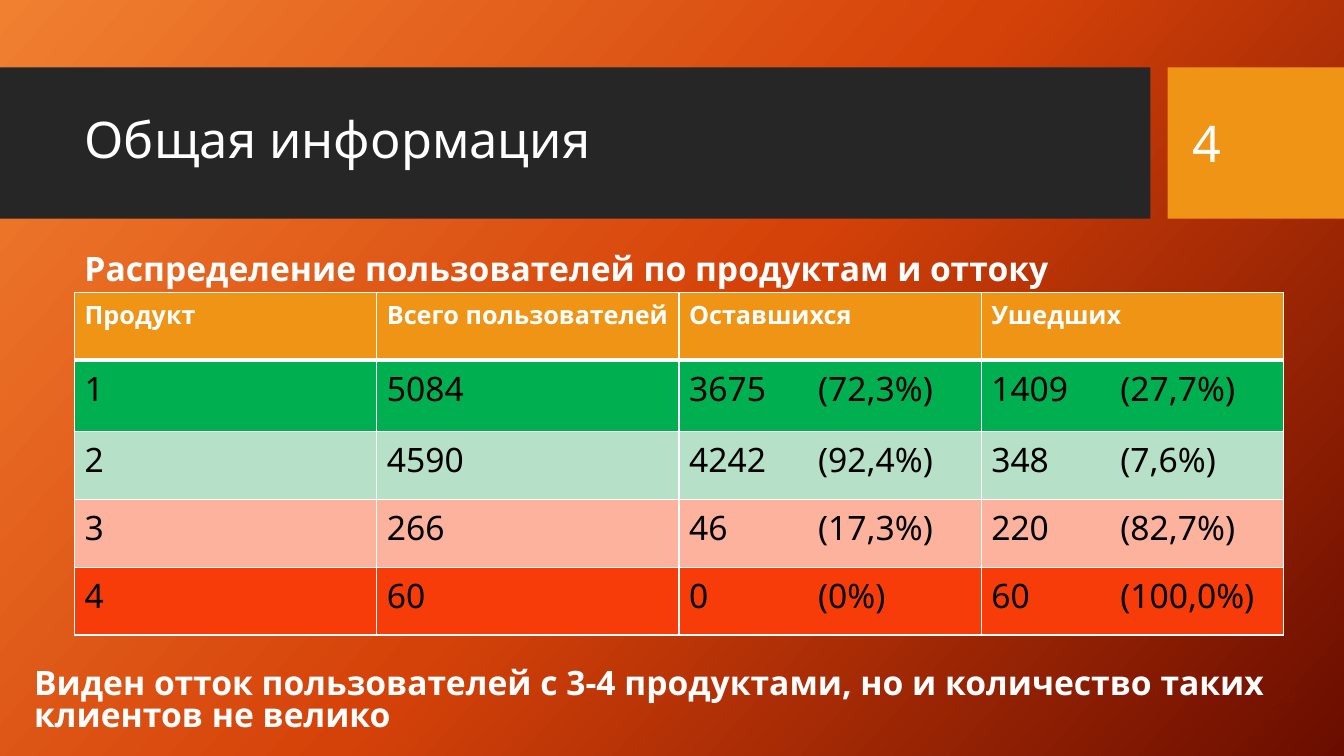
from dataclasses import dataclass

from lxml.etree import SubElement
from pptx import Presentation
from pptx.dml.color import RGBColor
from pptx.enum.shapes import MSO_SHAPE as Kind
from pptx.enum.text import MSO_ANCHOR as Anchor, MSO_AUTO_SIZE as Auto, PP_ALIGN as Align
from pptx.oxml.ns import qn
from pptx.slide import Slide
from pptx.table import _Cell as Cell
from pptx.text.text import TextFrame as Frame, _Paragraph as Para
from pptx.util import Inches, Pt

WIDE, HIGH = Inches(13.33), Inches(7.5)
FONT = "Noto Sans"
WHITE, BLACK, DARK, GOLD = "FFFFFF", "000000", "262626", "F09415"
GLOW = [(0, "F18031"), (50, "D54209"), (100, "6A0D00")]
TAB = Inches(1.28)


def across(share: float) -> int:
    """Turn a percentage of the slide width into a length."""
    return round(WIDE * share / 100)


def down(share: float) -> int:
    """Turn a percentage of the slide height into a length."""
    return round(HIGH * share / 100)


@dataclass
class Box:
    """A place on the slide, in percent of its width and height."""
    x: float
    y: float
    w: float
    h: float

    def place(self) -> tuple[int, int, int, int]:
        """Give left, top, width and height as lengths."""
        return across(self.x), down(self.y), across(self.w), down(self.h)


@dataclass
class Style:
    """The look of a piece of text."""
    size: int
    color: str = WHITE
    bold: bool = False


@dataclass
class Bar:
    """A plain filled rectangle."""
    box: Box
    fill: str


@dataclass
class Label:
    """A text box with its look and line spacing."""
    box: Box
    text: str
    style: Style
    anchor: Anchor
    space: float = 1.0
    before: int = 0


@dataclass
class Row:
    """A table row with its fill, look and height in percent."""
    cells: list[str]
    fill: str
    style: Style
    high: float = 8.97


BIG, HEAD, MAIN, BODY = Style(36), Style(18, bold=True), Style(24, bold=True), Style(24, BLACK)
TITLE = Label(Box(5.55, 10.93, 78.84, 15.73), "Общая информация", BIG, Anchor.MIDDLE, 0.9)
BARS = [Bar(Box(0, 8.93, 85.6, 20), DARK), Bar(Box(86.87, 8.93, 13.13, 20), GOLD)]
LABELS = [
    Label(Box(5.55, 28.67, 88.9, 10.13), "Распределение пользователей по продуктам и оттоку",
          MAIN, Anchor.BOTTOM, 0.9, 10),
    Label(Box(88, 10.93, 9.45, 15.87), "4", BIG, Anchor.MIDDLE),
    Label(Box(1.8, 87.6, 98.2, 10.13),
          "Виден отток пользователей с 3-4 продуктами, но и количество таких клиентов не велико",
          MAIN, Anchor.BOTTOM, 0.8, 10),
]
GRID = Box(5.55, 38.67, 89.95, 45.35)
ROWS = [
    Row(["Продукт", "Всего пользователей", "Оставшихся", "Ушедших"], GOLD, HEAD),
    Row(["1", "5084", "3675\t(72,3%)", "1409\t(27,7%)"], "00B050", BODY, 9.47),
    Row(["2", "4590", "4242\t(92,4%)", "348\t(7,6%)"], "B6E0C7", BODY),
    Row(["3", "266", "46\t(17,3%)", "220\t(82,7%)"], "FCB29D", BODY),
    Row(["4", "60", "0\t(0%)", "60\t(100,0%)"], "F73C09", BODY),
]


def paint(part, color: str) -> None:
    """Give a fill one solid colour."""
    part.solid()
    part.fore_color.rgb = RGBColor.from_string(color)


def write(para: Para, text: str, style: Style) -> None:
    """Set the text of a paragraph and format its runs."""
    para.text = text
    para.alignment = Align.LEFT
    for run in para.runs:
        run.font.name, run.font.size, run.font.bold = FONT, Pt(style.size), style.bold
        paint(run.font.fill, style.color)


def set_text(frame: Frame, label: Label) -> None:
    """Fill a text frame from a label."""
    frame.word_wrap = True
    frame.auto_size = Auto.NONE
    frame.vertical_anchor = label.anchor
    para = frame.paragraphs[0]
    write(para, label.text, label.style)
    para.line_spacing = label.space
    para.space_before = Pt(label.before)


def draw_back(slide: Slide) -> None:
    """Lay the three-colour gradient behind the slide."""
    fill = slide.background.fill
    fill.gradient()
    fill.gradient_angle = 318
    stops = slide.element.find(".//" + qn("a:gsLst"))
    for old in list(stops):
        stops.remove(old)
    for share, color in GLOW:
        stop = SubElement(stops, qn("a:gs"), pos=str(share * 1000))
        SubElement(stop, qn("a:srgbClr"), val=color)


def draw_bar(slide: Slide, bar: Bar) -> None:
    """Draw a filled bar with no outline."""
    shape = slide.shapes.add_shape(Kind.RECTANGLE, *bar.box.place())
    shape.shadow.inherit = False
    shape.line.fill.background()
    paint(shape.fill, bar.fill)


def draw_title(slide: Slide) -> None:
    """Move the title over the bars and format it."""
    title = slide.shapes.title
    title.left, title.top, title.width, title.height = TITLE.box.place()
    set_text(title.text_frame, TITLE)
    title.element.getparent().append(title.element)


def edge(cell: Cell, top: int, low: int) -> None:
    """Draw the white borders of a cell, with widths in points."""
    props = cell._tc.get_or_add_tcPr()
    for side, width in (("L", 1), ("R", 1), ("T", top), ("B", low)):
        line = SubElement(props, qn(f"a:ln{side}"), w=str(Pt(width)))
        SubElement(SubElement(line, qn("a:solidFill")), qn("a:srgbClr"), val=WHITE)


def draw_table(slide: Slide) -> None:
    """Draw the table of products and churn."""
    count = len(ROWS[0].cells)
    table = slide.shapes.add_table(len(ROWS), count, *GRID.place()).table
    table.horz_banding = False
    for col in table.columns:
        col.width = across(GRID.w / count)
    for i, row in enumerate(ROWS):
        table.rows[i].height = down(row.high)
        for j, text in enumerate(row.cells):
            cell = table.cell(i, j)
            edge(cell, 3 if i == 1 else 1, 3 if i == 0 else 1)
            paint(cell.fill, row.fill)
            para = cell.text_frame.paragraphs[0]
            write(para, text, row.style)
            if "\t" in text:
                tabs = SubElement(para._p.get_or_add_pPr(), qn("a:tabLst"))
                SubElement(tabs, qn("a:tab"), pos=str(TAB), algn="l")


def main() -> None:
    """Build the slide and save it."""
    deck = Presentation()
    deck.slide_width, deck.slide_height = WIDE, HIGH
    slide = deck.slides.add_slide(deck.slide_layouts[5])
    draw_back(slide)
    for bar in BARS:
        draw_bar(slide, bar)
    draw_title(slide)
    draw_table(slide)
    for label in LABELS:
        set_text(slide.shapes.add_textbox(*label.box.place()).text_frame, label)
    deck.save("out.pptx")


if __name__ == "__main__":
    main()
